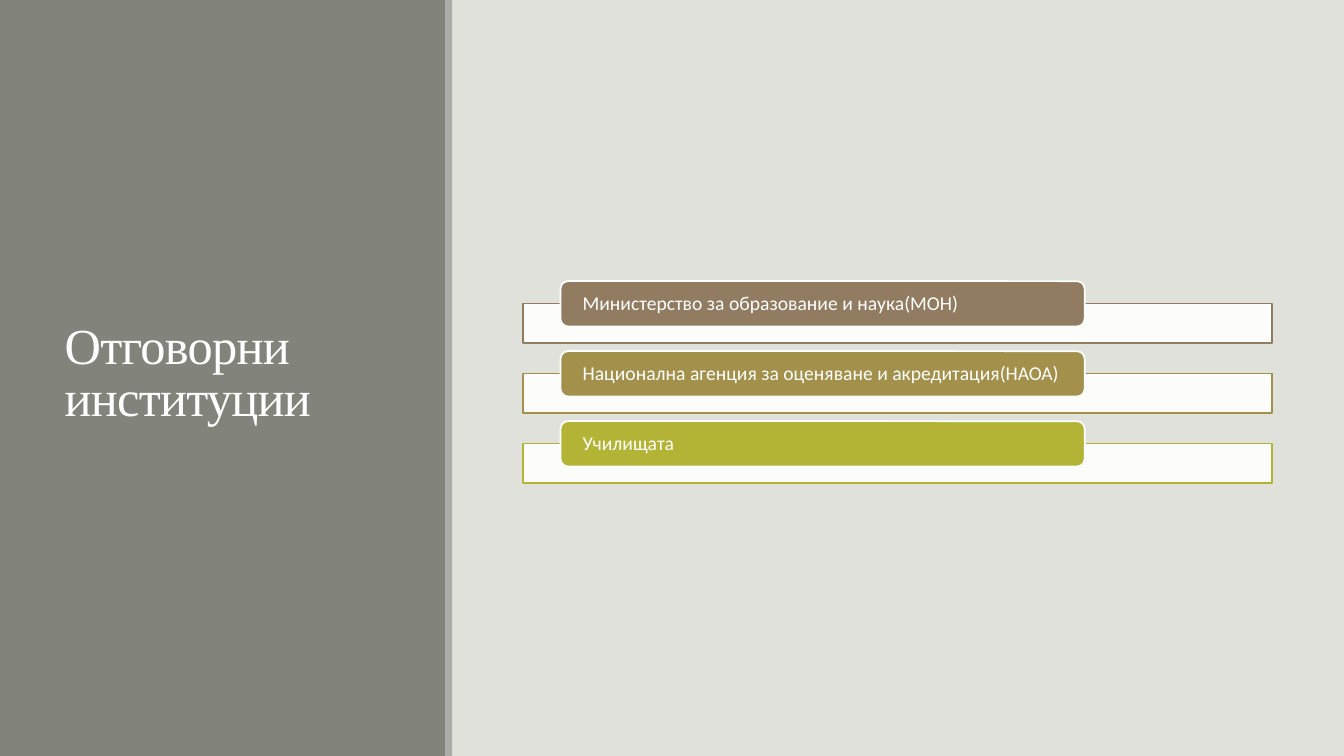
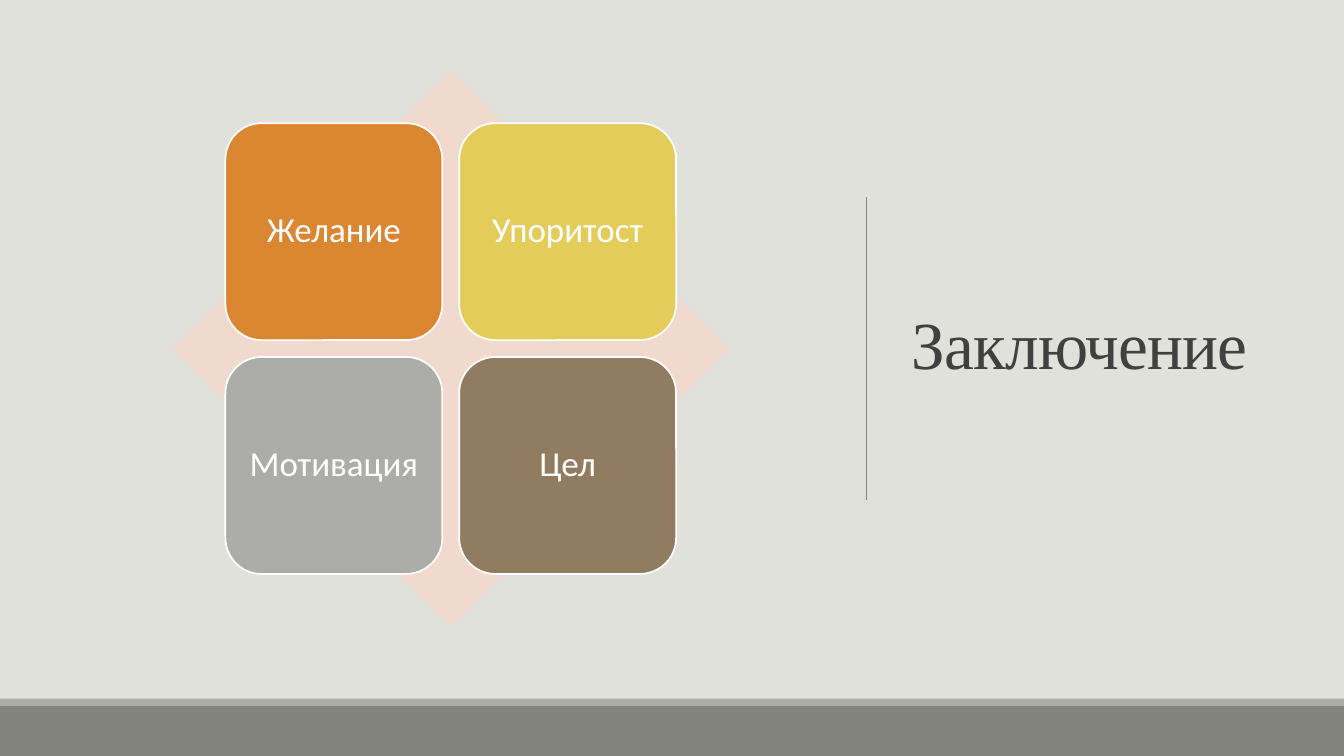
from lxml import etree
from pptx import Presentation
from pptx.dml.color import RGBColor
from pptx.enum.shapes import MSO_CONNECTOR, MSO_SHAPE
from pptx.enum.text import MSO_ANCHOR, MSO_AUTO_SIZE, PP_ALIGN
from pptx.oxml.ns import qn
from pptx.util import Pt

WIDTH, HEIGHT = 960, 540
TITLE_ONLY = 5
TITLE_FONT, BODY_FONT = "Times New Roman", "Calibri"
COLORS = {
    "background": "E1E1DB",
    "band": "82847C",
    "stripe": "ACADA8",
    "white": "FFFFFF",
    "dark": "404040",
    "rule": "808080",
    "brown": "927C61",
    "olive": "A3904B",
    "lime": "B3B435",
    "orange": "DB8631",
    "yellow": "E3CC5A",
    "blush": "F1D9CE",
}
INSTITUTIONS = [
    ("Министерство за образование и наука(МОН)", "brown"),
    ("Национална агенция за оценяване и акредитация(НАОА)", "olive"),
    ("Училищата", "lime"),
]
QUALITIES = [
    ("Желание", "orange"),
    ("Упоритост", "yellow"),
    ("Мотивация", "stripe"),
    ("Цел", "brown"),
]


def color(name):
    """Return the named palette colour."""
    return RGBColor.from_string(COLORS[name])


def add_box(page, kind, left, top, width, height, fill, line=None, opacity=100):
    """Add a flat preset shape, with an outline if a line colour is given."""
    box = page.shapes.add_shape(kind, Pt(left), Pt(top), Pt(width), Pt(height))
    box.shadow.inherit = False
    box.fill.solid()
    box.fill.fore_color.rgb = color(fill)
    if opacity < 100:
        tint = box.fill._xPr.find(qn("a:solidFill"))[0]
        etree.SubElement(tint, qn("a:alpha"), val=str(opacity * 1000))
    if line:
        box.line.color.rgb = color(line)
        box.line.width = Pt(1.25)
    else:
        box.line.fill.background()
    return box


def write_text(box, text, size, font=BODY_FONT, ink="white",
               align=PP_ALIGN.LEFT, spacing=0.9, tracking=0):
    """Write one vertically centred paragraph and return its frame."""
    frame = box.text_frame
    frame.word_wrap = True
    frame.auto_size = MSO_AUTO_SIZE.NONE
    frame.vertical_anchor = MSO_ANCHOR.MIDDLE
    para = frame.paragraphs[0]
    para.alignment = align
    para.line_spacing = spacing
    span = para.add_run()
    span.text = text
    span.font.size = Pt(size)
    span.font.name = font
    span.font.color.rgb = color(ink)
    if tracking:
        span._r.get_or_add_rPr().set("spc", str(int(tracking * 100)))
    return frame


def set_margins(frame, side, end):
    """Set the side margins and the top and bottom margins of a frame."""
    frame.margin_left = frame.margin_right = Pt(side)
    frame.margin_top = frame.margin_bottom = Pt(end)


def add_title(page, text, left, top, width, height, size, ink):
    """Place the title placeholder in front of the shapes drawn so far."""
    title = page.shapes.title
    title.left, title.top = Pt(left), Pt(top)
    title.width, title.height = Pt(width), Pt(height)
    write_text(title, text, size, TITLE_FONT, ink, spacing=0.85, tracking=-0.5)
    page.shapes._spTree.append(title._element)


def add_rule(page, left, top, length):
    """Add a thin vertical line."""
    rule = page.shapes.add_connector(
        MSO_CONNECTOR.STRAIGHT, Pt(left), Pt(top), Pt(left), Pt(top + length))
    rule.line.color.rgb = color("rule")
    rule.line.width = Pt(0.5)
    etree.SubElement(rule._element.spPr, qn("a:effectLst"))


def add_labelled_bar(page, text, fill, top):
    """Add a white bar with a coloured label overlapping its top edge."""
    add_box(page, MSO_SHAPE.RECTANGLE, 373.5, top + 16, 535, 28,
            "white", line=fill, opacity=90)
    label = add_box(page, MSO_SHAPE.ROUNDED_RECTANGLE, 400.4, top, 374.4, 32.4,
                    fill, line="white")
    set_margins(write_text(label, text, 14), 14.2, 0)


def add_matrix(page, items, left, top, side=155, pitch=167):
    """Add a two-column grid of rounded tiles over a centred diamond."""
    diamond = 397.5
    shift = (pitch + side - diamond) / 2
    add_box(page, MSO_SHAPE.DIAMOND, left + shift, top + shift,
            diamond, diamond, "blush")
    for index, (text, fill) in enumerate(items):
        row, column = divmod(index, 2)
        tile = add_box(page, MSO_SHAPE.ROUNDED_RECTANGLE, left + column * pitch,
                       top + row * pitch, side, side, fill, line="white")
        set_margins(write_text(tile, text, 25, align=PP_ALIGN.CENTER), 7, 7)


def build_institutions(page):
    """Build the slide with a side panel and a list of institutions."""
    add_box(page, MSO_SHAPE.RECTANGLE, 0, 0, 319, HEIGHT, "band")
    add_box(page, MSO_SHAPE.RECTANGLE, 318, 0, 5, HEIGHT, "stripe")
    add_title(page, "Отговорни институции", 39, 41, 243, 454, 36, "white")
    for index, (text, fill) in enumerate(INSTITUTIONS):
        add_labelled_bar(page, text, fill, 200.8 + 50 * index)


def build_conclusion(page):
    """Build the closing slide with a tile matrix and a bottom band."""
    add_box(page, MSO_SHAPE.RECTANGLE, 0, 499, WIDTH, 5, "stripe")
    add_box(page, MSO_SHAPE.RECTANGLE, 0, 504, WIDTH, 36, "band")
    add_title(page, "Заключение", 644, 50, 266, 398, 48, "dark")
    add_rule(page, 618.8, 141, 216)
    add_matrix(page, QUALITIES, 161, 88)


def main():
    """Build and save the deck."""
    deck = Presentation()
    deck.slide_width, deck.slide_height = Pt(WIDTH), Pt(HEIGHT)
    backdrop = deck.slide_master.background.fill
    backdrop.solid()
    backdrop.fore_color.rgb = color("background")
    for build in (build_institutions, build_conclusion):
        build(deck.slides.add_slide(deck.slide_layouts[TITLE_ONLY]))
    deck.save("out.pptx")


main()
